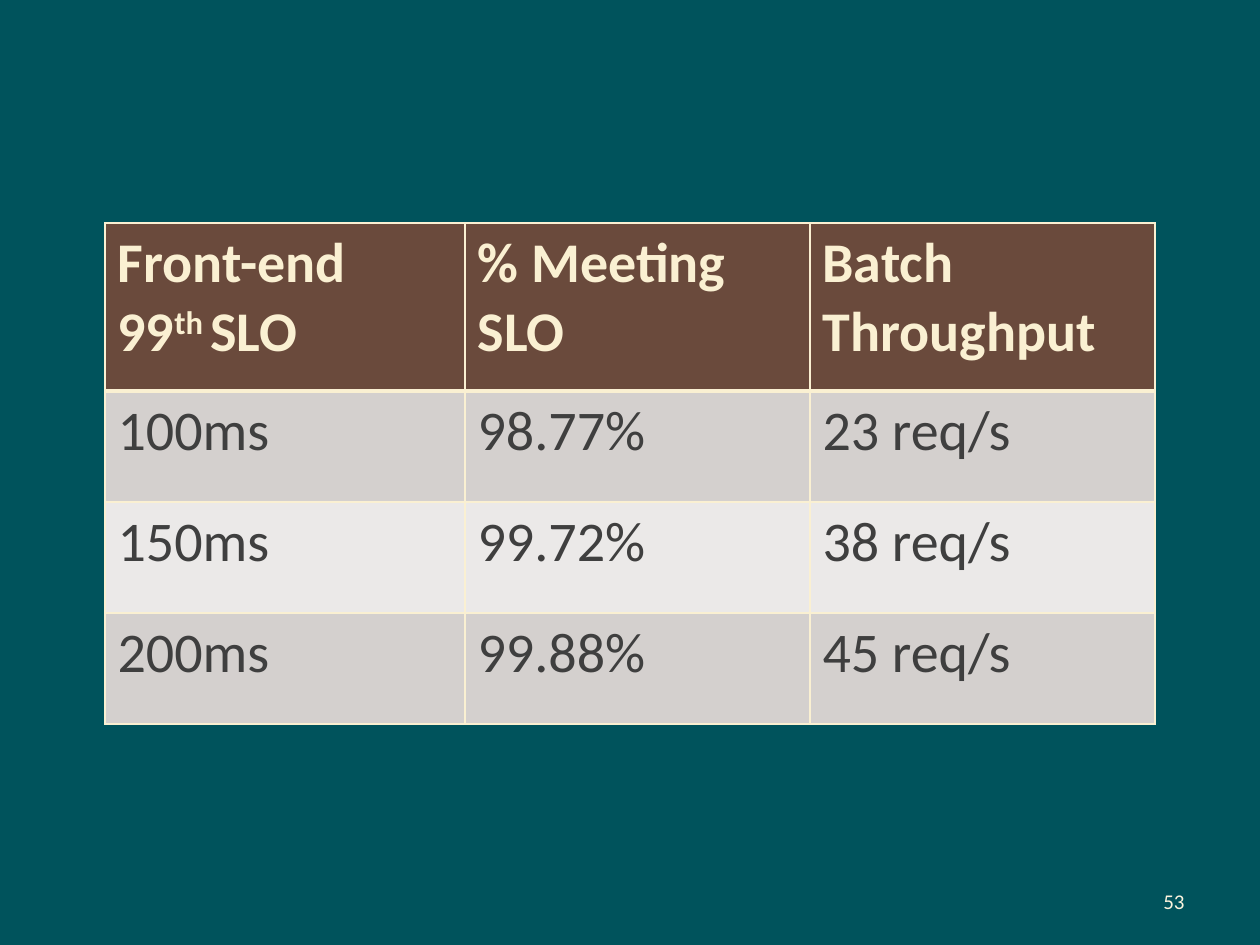
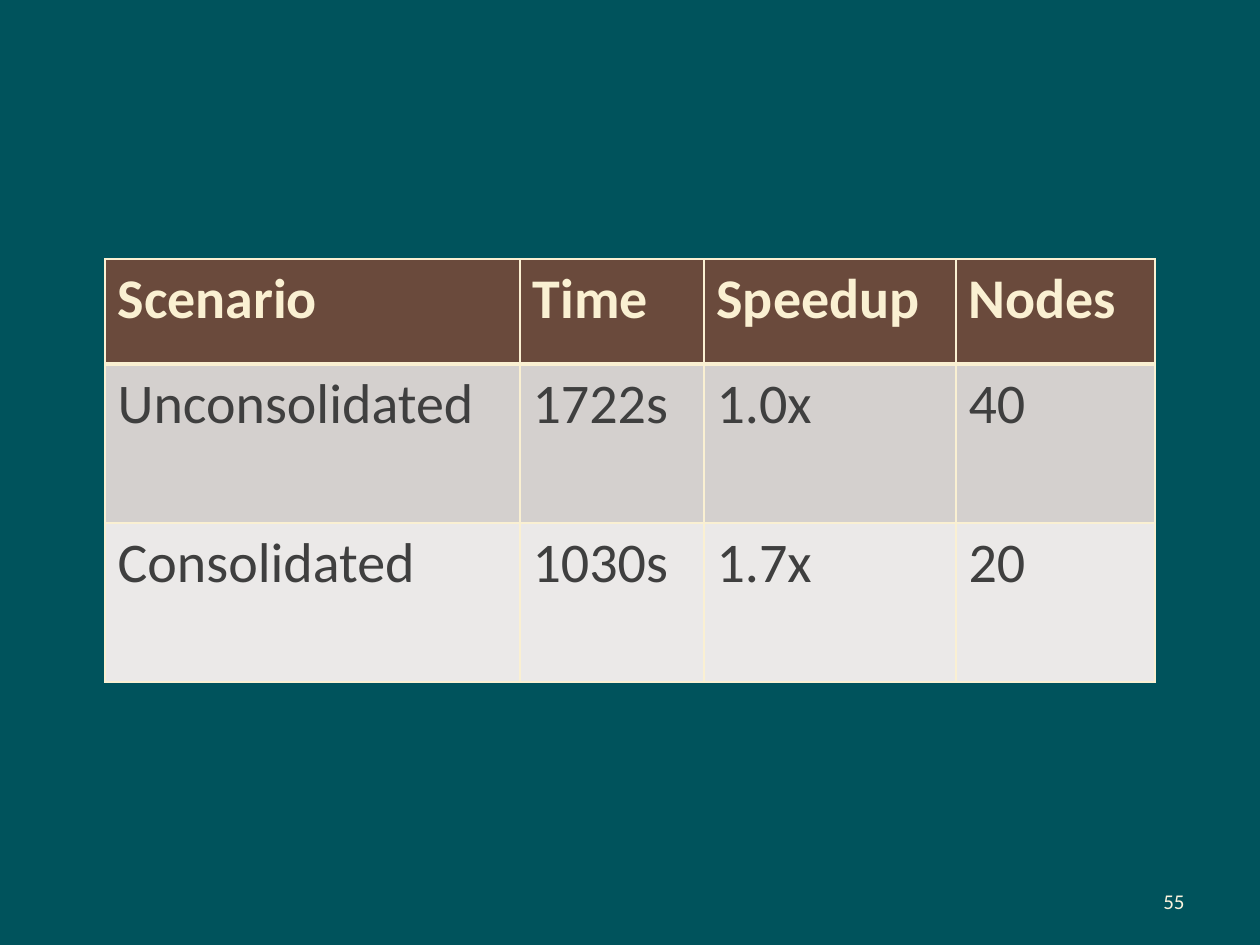
from lxml.etree import SubElement
from pptx import Presentation
from pptx.dml.color import RGBColor
from pptx.enum.text import MSO_ANCHOR, PP_ALIGN
from pptx.oxml.ns import qn
from pptx.util import Pt

# Lengths in px; text between carets is superscript
TABLES = [
    dict(
        number="53", top=223, cols=[360, 345, 345], rows=[168, 111, 111, 111],
        cells=[
            ["Front-end\n99^th ^SLO", "% Meeting SLO", "Batch Throughput"],
            ["100ms", "98.77%", "23 req/s"],
            ["150ms", "99.72%", "38 req/s"],
            ["200ms", "99.88%", "45 req/s"],
        ],
    ),
    dict(
        number="55", top=259, cols=[415, 184, 252, 199], rows=[105, 159, 159],
        cells=[
            ["Scenario", "Time", "Speedup", "Nodes"],
            ["Unconsolidated", "1722s", "1.0x", "40"],
            ["Consolidated", "1030s", "1.7x", "20"],
        ],
    ),
]
TABLE_LEFT = 105
NUMBER_BOX = (903, 876, 294, 50)

FONT = "Calibri"
TEAL = RGBColor(0x00, 0x53, 0x5C)
BROWN = RGBColor(0x6A, 0x4A, 0x3C)
CREAM = RGBColor(0xFA, 0xF0, 0xD2)
PALE_CREAM = RGBColor(0xFB, 0xF4, 0xDE)
CHARCOAL = RGBColor(0x3F, 0x3F, 0x3F)
BANDS = [RGBColor(0xD4, 0xD0, 0xCE), RGBColor(0xEB, 0xE9, 0xE8)]


def px(n):
    return round(n * 914400 / 126)


def add_run(p, text, size, color, bold=False, raised=False):
    r = p.add_run()
    r.text = text
    r.font.name, r.font.size, r.font.bold = FONT, Pt(size), bold
    r.font.color.rgb = color
    if raised:
        r.font._element.set("baseline", "30000")


def set_borders(cell, **widths):
    """Draw cream borders; keys are the sides L, R, T and B in schema order."""
    tc_pr = cell._tc.get_or_add_tcPr()
    for i, (side, width) in enumerate(widths.items()):
        ln = SubElement(tc_pr, qn(f"a:ln{side}"), w=str(Pt(width)))
        fill = SubElement(ln, qn("a:solidFill"))
        SubElement(fill, qn("a:srgbClr"), val=str(CREAM))
        tc_pr.insert(i, ln)


def fill_cell(cell, text, row):
    header = row == 0
    cell.fill.solid()
    cell.fill.fore_color.rgb = BROWN if header else BANDS[(row - 1) % 2]
    set_borders(cell, L=1, R=1, T=3 if row == 1 else 1, B=3 if header else 1)
    tf = cell.text_frame
    for i, line in enumerate(text.split("\n")):
        p = tf.add_paragraph() if i else tf.paragraphs[0]
        for j, part in enumerate(line.split("^")):
            add_run(p, part, 32, CREAM if header else CHARCOAL, header, j % 2 == 1)


def add_table(s, top, cols, rows, cells):
    frame = s.shapes.add_table(len(rows), len(cols), px(TABLE_LEFT), px(top),
                               px(sum(cols)), px(sum(rows)))
    table = frame.table
    for col, width in zip(table.columns, cols):
        col.width = px(width)
    for i, height in enumerate(rows):
        table.rows[i].height = px(height)
        for j, text in enumerate(cells[i]):
            fill_cell(table.cell(i, j), text, i)


def add_number(s, number):
    tf = s.shapes.add_textbox(*map(px, NUMBER_BOX)).text_frame
    tf.word_wrap = True
    tf.vertical_anchor = MSO_ANCHOR.MIDDLE
    p = tf.paragraphs[0]
    p.alignment = PP_ALIGN.RIGHT
    add_run(p, number, 12, PALE_CREAM)


def main():
    prs = Presentation()
    prs.slide_width, prs.slide_height = px(1260), px(945)
    background = prs.slide_master.background.fill
    background.solid()
    background.fore_color.rgb = TEAL
    for t in TABLES:
        s = prs.slides.add_slide(prs.slide_layouts[6])
        add_number(s, t["number"])
        add_table(s, t["top"], t["cols"], t["rows"], t["cells"])
    prs.save("out.pptx")


if __name__ == "__main__":
    main()
